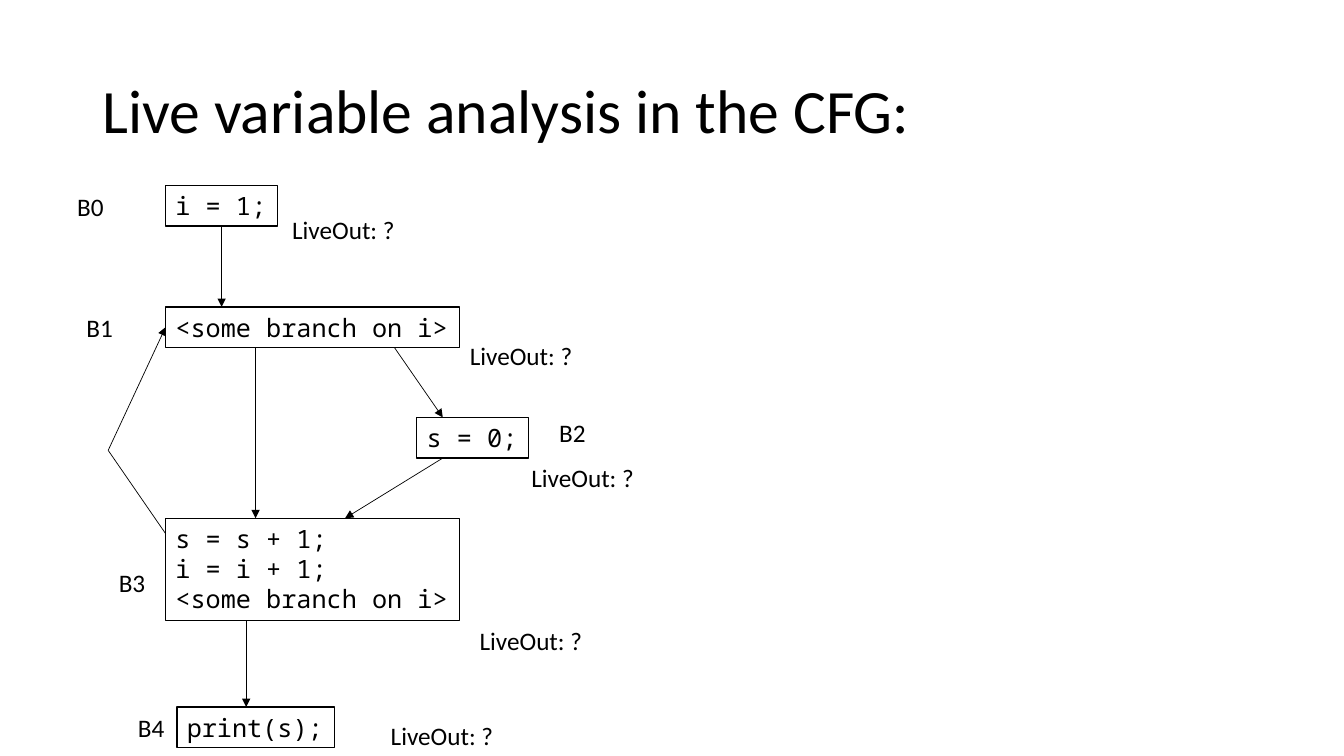
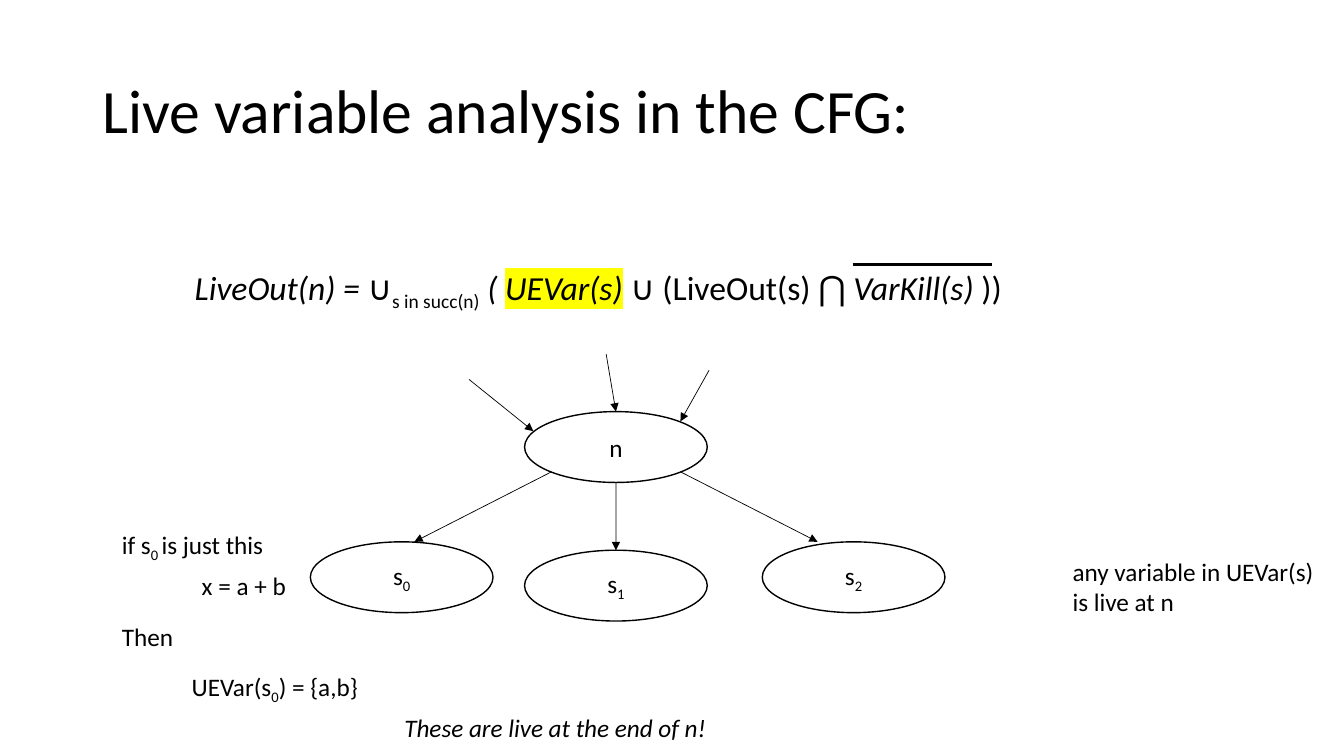
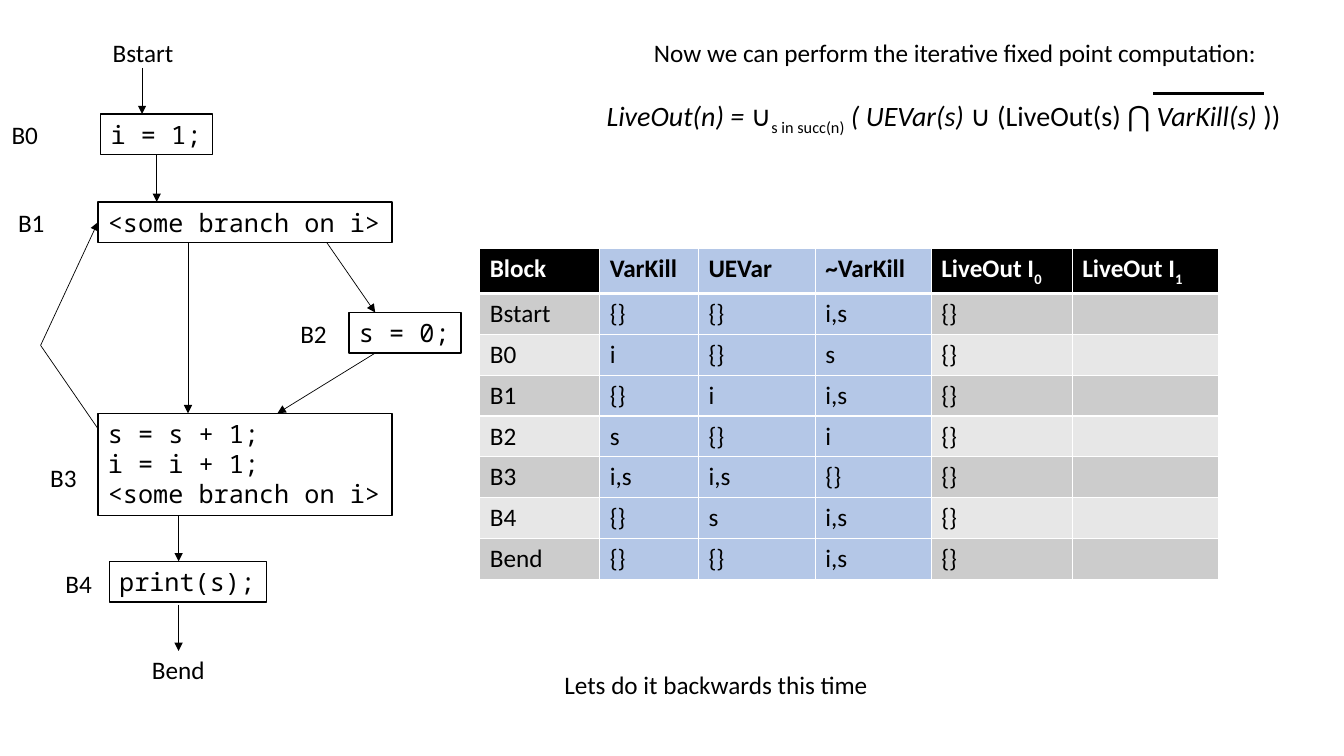
from lxml import etree
from pptx import Presentation
from pptx.dml.color import RGBColor
from pptx.enum.shapes import MSO_CONNECTOR, MSO_SHAPE
from pptx.enum.text import MSO_ANCHOR, MSO_AUTO_SIZE, PP_ALIGN
from pptx.oxml.ns import qn
from pptx.util import Pt

STRAIGHT = MSO_CONNECTOR.STRAIGHT
RECTANGLE = MSO_SHAPE.RECTANGLE
OVAL = MSO_SHAPE.OVAL
TOP = MSO_ANCHOR.TOP
MIDDLE = MSO_ANCHOR.MIDDLE
LEFT = PP_ALIGN.LEFT
CENTER = PP_ALIGN.CENTER
GROW = MSO_AUTO_SIZE.SHAPE_TO_FIT_TEXT
FIXED = MSO_AUTO_SIZE.NONE

BLACK = RGBColor(0x00, 0x00, 0x00)
WHITE = RGBColor(0xFF, 0xFF, 0xFF)
YELLOW = RGBColor(0xFF, 0xFF, 0x00)
BLUE = RGBColor(0xB4, 0xC7, 0xE7)
BAND_DARK = RGBColor(0xCC, 0xCC, 0xCC)
BAND_LIGHT = RGBColor(0xE7, 0xE7, 0xE7)

BODY_FONT = "Calibri"
CODE_FONT = "Noto Sans Mono"
LINE_HEIGHT = 29
SUB = {"subscript": True}
ITALIC = {"italic": True}

TITLE = "Live variable analysis in the CFG:"
HEADERS = ["Block", "VarKill", "UEVar", "~VarKill",
           [("LiveOut I", {}), ("0", SUB)], [("LiveOut I", {}), ("1", SUB)]]
SETS = [
    ["Bstart", "{}", "{}", "i,s", "{}", ""],
    ["B0", "i", "{}", "s", "{}", ""],
    ["B1", "{}", "i", "i,s", "{}", ""],
    ["B2", "s", "{}", "i", "{}", ""],
    ["B3", "i,s", "i,s", "{}", "{}", ""],
    ["B4", "{}", "s", "i,s", "{}", ""],
    ["Bend", "{}", "{}", "i,s", "{}", ""],
]
COLUMN_WIDTHS = [85.7, 70.5, 83.5, 82.8, 100.7, 104.4]
BLUE_COLUMNS = (1, 2, 3)


def add_color(parent, tag, color):
    """Append a fill-like element of one colour to an XML parent."""
    element = etree.SubElement(parent, qn(tag))
    etree.SubElement(element, qn("a:srgbClr"), val=str(color))
    return element


def write_text(frame, text, size=18, font=BODY_FONT, color=BLACK, bold=False,
               italic=False, align=LEFT, spacing=None):
    """Fill a frame with a string of lines, or with one line of (text, format) runs."""
    lines = [[(line, {})] for line in text.split("\n")] if isinstance(text, str) else [text]
    for index, runs in enumerate(lines):
        paragraph = frame.add_paragraph() if index else frame.paragraphs[0]
        paragraph.alignment = align
        if spacing:
            paragraph.line_spacing = spacing
        for words, style in runs:
            run = paragraph.add_run()
            run.text = words
            run.font.size = Pt(size)
            run.font.bold = bold
            run.font.italic = style.get("italic", italic)
            run.font.color.rgb = color
            run.font.name = font
            properties = run.font._element
            if style.get("subscript"):
                properties.set("baseline", "-25000")
            if style.get("highlight"):
                highlight = add_color(properties, "a:highlight", style["highlight"])
                properties.find(qn("a:solidFill")).addnext(highlight)


def add_borders(cell, bottom_width):
    properties = cell._tc.get_or_add_tcPr()
    for side in ("L", "R", "T", "B"):
        width = bottom_width if side == "B" else 1
        border = etree.SubElement(properties, qn(f"a:ln{side}"), w=str(Pt(width)))
        add_color(border, "a:solidFill", WHITE)


class Deck:
    def __init__(self):
        self.presentation = Presentation()
        self.presentation.slide_width = Pt(960)
        self.presentation.slide_height = Pt(540)
        self.slide = None

    def new_slide(self):
        self.slide = self.presentation.slides.add_slide(self.presentation.slide_layouts[6])

    def label(self, left, top, width, text, height=LINE_HEIGHT, **style):
        shape = self.slide.shapes.add_textbox(Pt(left), Pt(top), Pt(width), Pt(height))
        shape.text_frame.word_wrap = False
        shape.text_frame.auto_size = GROW
        write_text(shape.text_frame, text, **style)

    def title(self):
        shape = self.slide.shapes.add_textbox(Pt(66), Pt(28.75), Pt(828), Pt(104.4))
        frame = shape.text_frame
        frame.word_wrap = True
        frame.auto_size = FIXED
        frame.vertical_anchor = MIDDLE
        write_text(frame, TITLE, size=44, spacing=0.9)

    def outline(self, kind, left, top, width, height):
        shape = self.slide.shapes.add_shape(kind, Pt(left), Pt(top), Pt(width), Pt(height))
        shape.shadow.inherit = False
        shape.fill.solid()
        shape.fill.fore_color.rgb = WHITE
        shape.line.color.rgb = BLACK
        shape.line.width = Pt(1)
        return shape

    def code(self, left, top, width, text, height=LINE_HEIGHT):
        shape = self.outline(RECTANGLE, left, top, width, height)
        frame = shape.text_frame
        frame.word_wrap = False
        frame.auto_size = GROW
        frame.vertical_anchor = TOP
        write_text(frame, text, font=CODE_FONT)
        return shape

    def node(self, left, top, text):
        shape = self.outline(OVAL, left, top, 130.5, 50.6)
        shape.text_frame.vertical_anchor = MIDDLE
        write_text(shape.text_frame, text, align=CENTER)
        return shape

    def line(self, start, end, width=0.5, arrow=True, source=None, target=None):
        """Draw a line; source and target are (shape, side) pairs to join."""
        connector = self.slide.shapes.add_connector(
            STRAIGHT, Pt(start[0]), Pt(start[1]), Pt(end[0]), Pt(end[1]))
        connector.line.color.rgb = BLACK
        connector.line.width = Pt(width)
        if arrow:
            etree.SubElement(connector.line._get_or_add_ln(), qn("a:tailEnd"), type="triangle")
        etree.SubElement(connector._element.spPr, qn("a:effectLst"))
        if source:
            connector.begin_connect(*source)
        if target:
            connector.end_connect(*target)

    def formula(self, left, top, width, height, size, bar, highlight=None):
        """Write the LiveOut equation; bar is (left, right, top) of the complement line."""
        runs = [("LiveOut(n) = ", ITALIC), ("∪", {}), ("s in succ(n)", SUB),
                (" ( ", ITALIC), ("UEVar(s)", {"italic": True, "highlight": highlight}),
                (" ", ITALIC), ("∪ (LiveOut(s) ⋂ ", {}), ("VarKill(s) ", ITALIC), ("))", {})]
        self.label(left, top, width, runs, height=height, size=size)
        bar_left, bar_right, bar_top = bar
        self.line((bar_left, bar_top), (bar_right, bar_top), width=2.25, arrow=False)

    def flow_graph(self, left, top, entry, exit_top, label_places):
        """Draw blocks B0 to B4; left and top place B1, entry places B0."""
        def at(x, y):
            return left + x, top + y

        first = self.code(*entry, 80, "i = 1;")
        branch = self.code(left, top, 210, "<some branch on i>")
        self.code(*at(179.3, 79), 80, "s = 0;")
        self.code(*at(0, 151), 210, "s = s + 1;\ni = i + 1;\n<some branch on i>", height=73)
        self.code(left + 8, exit_top, 112.5, "print(s);")

        first_middle = entry[0] + 40
        self.line((first_middle, entry[1] + LINE_HEIGHT), (first_middle, top), source=(first, 2))
        self.line(at(64.3, LINE_HEIGHT), at(64.3, 151))
        self.line(at(163.4, LINE_HEIGHT), at(198, 79))
        self.line(at(198, 108), at(128.2, 151))
        self.line(at(57.6, 224), (left + 57.6, exit_top))
        self.line(at(0, 162), at(-41, 102.5), arrow=False)
        self.line(at(-41, 102.5), at(0, 14.5), target=(branch, 1))
        for number, place in enumerate(label_places):
            self.label(*place, 33.8, f"B{number}")

    def table(self, left, top, rows, widths):
        row_height = 29.2
        frame = self.slide.shapes.add_table(
            len(rows), len(widths), Pt(left), Pt(top), Pt(sum(widths)),
            Pt(row_height * len(rows)))
        table = frame.table
        table.first_row = False
        table.horz_banding = False
        for column, width in zip(table.columns, widths):
            column.width = Pt(width)
        for row_index, values in enumerate(rows):
            header = row_index == 0
            table.rows[row_index].height = Pt(row_height)
            band = BAND_DARK if row_index % 2 else BAND_LIGHT
            for column_index, text in enumerate(values):
                cell = table.cell(row_index, column_index)
                blue = column_index in BLUE_COLUMNS
                add_borders(cell, 3 if header else 1)
                cell.fill.solid()
                cell.fill.fore_color.rgb = BLUE if blue else BLACK if header else band
                color = WHITE if header and not blue else BLACK
                if text:
                    write_text(cell.text_frame, text, color=color, bold=header)


def build_question_slide(deck):
    deck.new_slide()
    deck.title()
    deck.flow_graph(118.3, 219.2, entry=(118.3, 132.5), exit_top=505, label_places=[
        (48, 133), (54.7, 219.2), (392.4, 294.5), (77.8, 402), (91.4, 505)])
    for left, top in [(201.6, 149.8), (328.5, 239.3), (372.5, 327), (335.5, 443), (272, 511)]:
        deck.label(left, top, 88.6, "LiveOut: ?")


def build_equation_slide(deck):
    deck.new_slide()
    deck.title()
    deck.formula(132, 187, 618.5, 36, size=24, bar=(609, 708.5, 188.8), highlight=YELLOW)

    parent = deck.node(374.7, 294, "n")
    children = [deck.node(left, top, [("s", {}), (str(number), SUB)])
                for number, (left, top) in enumerate([(221.7, 387), (374.7, 393), (544.5, 387)])]
    deck.line((394, 337), (296, 387))
    deck.line((440, 344.6), (440, 393), target=(children[1], 0))
    deck.line((486, 337), (584, 387))
    deck.line((335, 271), (381, 308))
    deck.line((433, 253), (440, 294), target=(parent, 0))
    deck.line((506.5, 264.5), (486, 301))

    deck.label(759, 394, 188.6, "any variable in UEVar(s)\nis live at n", height=51)
    deck.label(137, 404, 75.6, "x = a + b")
    deck.label(129.8, 476, 135.4, [("UEVar(s", {}), ("0", SUB), (") = {a,b}", {})])
    deck.label(80, 374.4, 117.4, [("if s", {}), ("0 ", SUB), ("is just this", {})])
    deck.label(80, 440, 51.8, "Then")
    deck.label(281.7, 505, 232.6, "These are live at the end of n!", italic=True)


def build_iteration_slide(deck):
    deck.new_slide()
    deck.flow_graph(70, 144.2, entry=(72, 81.5), exit_top=401, label_places=[
        (1.2, 82), (5.8, 144.2), (207.4, 224), (28.8, 327), (39.6, 402.5)])
    deck.label(73.4, 23, 58.3, "Bstart")
    deck.line((101.5, 48.5), (101.5, 81.5))
    deck.line((127.6, 432), (127.6, 465))
    deck.label(101.5, 464, 52.6, "Bend")

    deck.label(460, 23, 450, "Now we can perform the iterative fixed point computation:")
    deck.formula(426.2, 67, 518.4, 31.5, size=20, bar=(823.7, 902.9, 67))
    deck.table(342.7, 177.8, [HEADERS] + SETS, COLUMN_WIDTHS)
    deck.label(396, 474.5, 234, "Lets do it backwards this time")


def main():
    deck = Deck()
    build_question_slide(deck)
    build_equation_slide(deck)
    build_iteration_slide(deck)
    deck.presentation.save("out.pptx")


if __name__ == "__main__":
    main()
